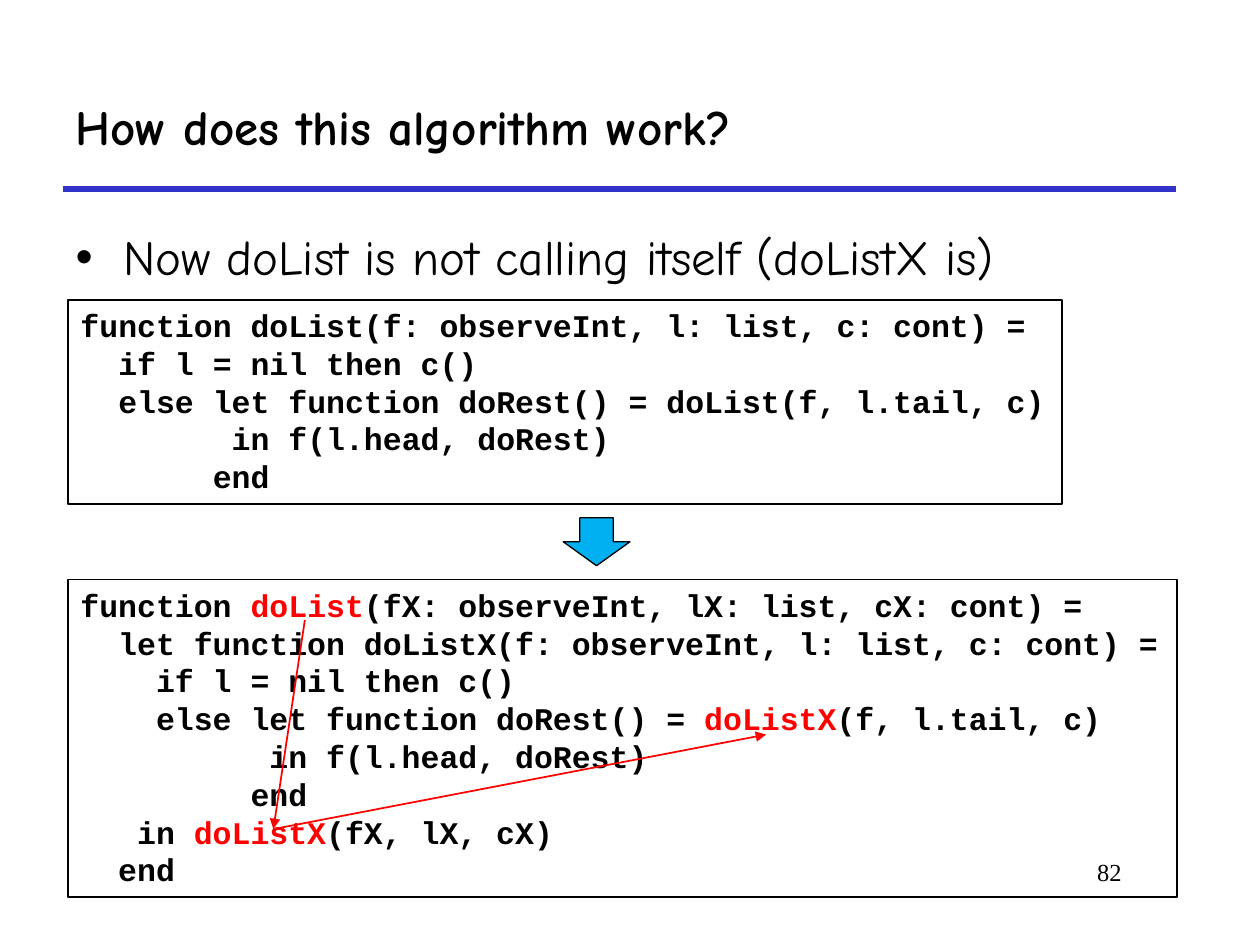
from lxml import etree
from pptx import Presentation
from pptx import util as u
from pptx.dml.color import RGBColor
from pptx.enum import shapes, text
from pptx.oxml.ns import qn

PX = 9144  # EMU per px, 100 px to the inch


class Theme:
    ink, hot = RGBColor(0, 0, 0), RGBColor(0xFF, 0, 0)
    rule, sky = RGBColor(0x33, 0x33, 0xCC), RGBColor(0, 0xB0, 0xF0)
    hand, code, serif = "Comic Neue", "Courier New", "Times New Roman"
    big, mid, small = 28, 18, 14


# Bars mark the words shown in the hot colour
OLD = """function doList(f: observeInt, l: list, c: cont) =
  if l = nil then c()
  else let function doRest() = doList(f, l.tail, c)
        in f(l.head, doRest)
       end"""
NEW = """function |doList|(fX: observeInt, lX: list, cX: cont) =
  let function doListX(f: observeInt, l: list, c: cont) =
    if l = nil then c()
    else let function doRest() = |doListX|(f, l.tail, c)
          in f(l.head, doRest)
         end
   in |doListX|(fX, lX, cX)
  end"""


def emu(*vals):
    return [u.Emu(v * PX) for v in vals]


def place(shape, box):
    shape.left, shape.top, shape.width, shape.height = emu(*box)


def add_run(para, words, face, size, color=Theme.ink, bold=False):
    run = para.add_run()
    run.text = words
    font = run.font
    font.name, font.size, font.bold = face, u.Pt(size), bold
    font.color.rgb = color


def add_line(sld, start, end, color, width, arrow=False):
    line = sld.shapes.add_connector(
        shapes.MSO_CONNECTOR.STRAIGHT, *emu(*start, *end))
    line.line.color.rgb = color
    line.line.width = u.Pt(width)
    props = line._element.spPr
    if arrow:
        etree.SubElement(line.line._get_or_add_ln(), qn("a:tailEnd"),
                         type="triangle")
    etree.SubElement(props, qn("a:effectLst"))


def add_shape(sld, kind, box, width, fill=None):
    shape = sld.shapes.add_shape(kind, *emu(*box))
    shape.shadow.inherit = False
    if fill is None:
        shape.fill.background()
    else:
        shape.fill.solid()
        shape.fill.fore_color.rgb = fill
    shape.line.color.rgb = Theme.ink
    shape.line.width = u.Pt(width)
    return shape


def add_head(sld, box, words):
    """Title with a rule along its lower edge."""
    x, y, w, h = box
    add_line(sld, (x, y + h), (x + w, y + h), Theme.rule, 3)
    title = sld.shapes.title
    place(title, box)
    frame = title.text_frame
    frame.auto_size = text.MSO_AUTO_SIZE.NONE
    frame.vertical_anchor = text.MSO_ANCHOR.MIDDLE
    para = frame.paragraphs[0]
    para.alignment = text.PP_ALIGN.LEFT
    add_run(para, words, Theme.hand, Theme.big, bold=True)


def add_list(sld, box, items):
    body = sld.placeholders[1]
    place(body, box)
    frame = body.text_frame
    frame.auto_size = text.MSO_AUTO_SIZE.NONE
    for i, item in enumerate(items):
        para = frame.add_paragraph() if i else frame.paragraphs[0]
        props = para._p.get_or_add_pPr()
        props.set("marL", str(38 * PX))
        props.set("indent", str(-38 * PX))
        etree.SubElement(props, qn("a:buChar"), char="•")
        para.space_before = u.Pt(6 if i else 0)
        add_run(para, item, Theme.hand, Theme.big)


def add_code(sld, box, code):
    """Framed listing, one paragraph a line."""
    rect = add_shape(sld, shapes.MSO_SHAPE.RECTANGLE, box, 1)
    frame = rect.text_frame
    frame.word_wrap = False
    frame.auto_size = text.MSO_AUTO_SIZE.SHAPE_TO_FIT_TEXT
    frame.vertical_anchor = text.MSO_ANCHOR.TOP
    for i, row in enumerate(code.split("\n")):
        para = frame.add_paragraph() if i else frame.paragraphs[0]
        para.alignment = text.PP_ALIGN.LEFT
        for j, part in enumerate(row.split("|")):
            add_run(para, part, Theme.code, Theme.mid,
                    Theme.hot if j % 2 else Theme.ink, True)


def add_calls(sld, box, stops):
    """Arrows from call to call, measured from the listing's corner."""
    spots = [(box[0] + x, box[1] + y) for x, y in stops]
    for start, end in zip(spots, spots[1:]):
        add_line(sld, start, end, Theme.hot, 1, arrow=True)


def add_number(sld, box, words):
    label = sld.shapes.add_textbox(*emu(*box))
    label.text_frame.word_wrap = True
    para = label.text_frame.paragraphs[0]
    para.alignment = text.PP_ALIGN.RIGHT
    add_run(para, words, Theme.serif, Theme.small)


def main():
    prs = Presentation()
    prs.slide_width, prs.slide_height = emu(1000, 750)
    sld = prs.slides.add_slide(prs.slide_layouts[1])

    # Heading, list and page number
    add_head(sld, (50, 50, 883, 100), "How does this algorithm work?")
    add_list(sld, (50, 175, 908, 483),
             ["Now doList is not calling itself (doListX is)"])
    add_number(sld, (758, 675, 142, 50), "82")

    # Code before and after, with the step between
    after = (54, 460, 880, 252)
    add_code(sld, (54, 238, 789, 162), OLD)
    add_code(sld, after, NEW)
    add_shape(sld, shapes.MSO_SHAPE.DOWN_ARROW, (447, 411, 53, 38),
              0.75, Theme.sky)
    add_calls(sld, after, [(188, 32), (163, 198), (554, 123)])

    prs.save("out.pptx")


if __name__ == "__main__":
    main()
